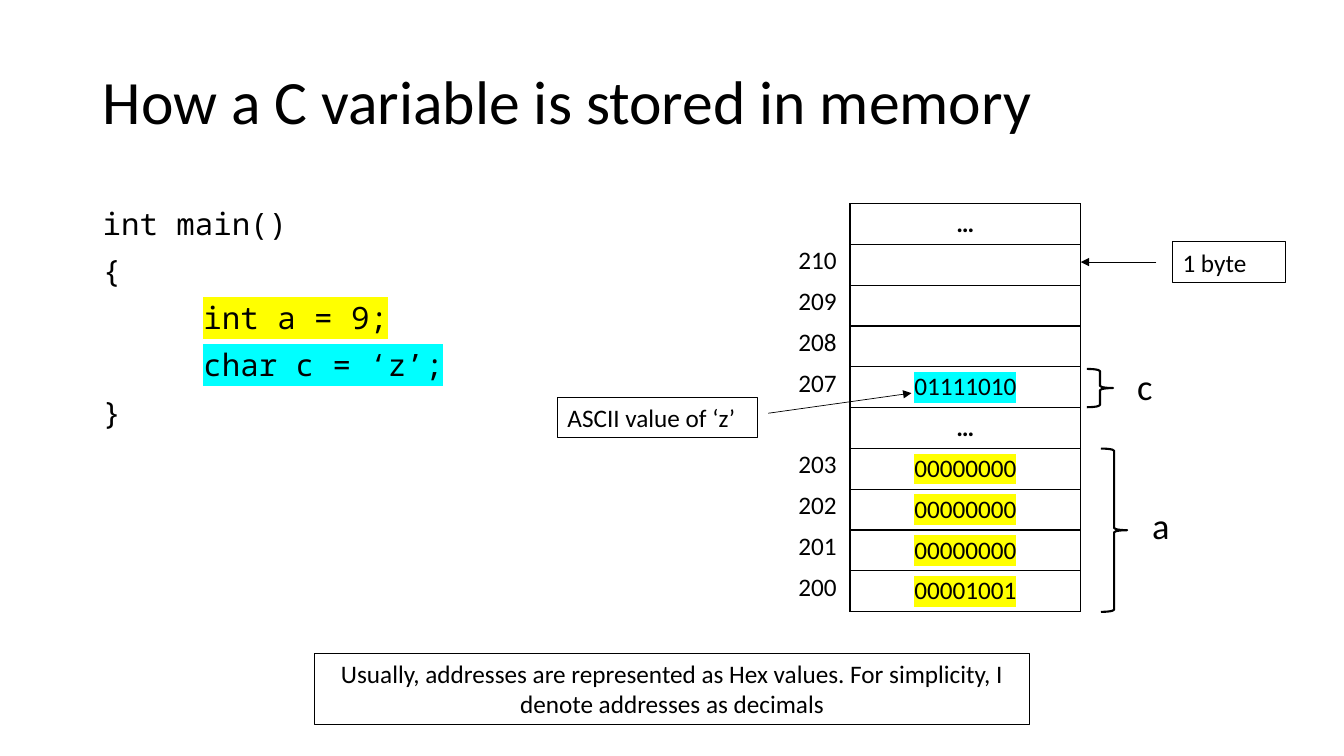
from lxml.etree import SubElement
from pptx import Presentation
from pptx.dml.color import RGBColor
from pptx.enum.shapes import MSO_CONNECTOR, MSO_SHAPE
from pptx.enum.text import MSO_ANCHOR, PP_ALIGN
from pptx.oxml.ns import qn
from pptx.util import Inches, Pt

COLORS = {"ink": "000000", "int": "FFFF00", "char": "00FFFF"}
BODY_FONT, CODE_FONT = "Calibri", "Noto Sans Mono"

TABLE_LEFT, TABLE_TOP, TABLE_WIDTH, TABLE_HEIGHT = 8.43, 2.02, 2.29, 4.05
# address, stored bits, highlight
MEMORY = [
    ("", "…", None),
    ("210", "", None),
    ("209", "", None),
    ("208", "", None),
    ("207", "01111010", "char"),
    ("", "…", None),
    ("203", "00000000", "int"),
    ("202", "00000000", "int"),
    ("201", "00000000", "int"),
    ("200", "00001001", "int"),
]
ROW_HEIGHT = TABLE_HEIGHT / len(MEMORY)

# code, indent, highlight
CODE = [
    ("int main()", 0, None),
    ("{", 0, None),
    ("int a = 9;", 1, "int"),
    ("char c = ‘z’;", 1, "char"),
    ("}", 0, None),
]


def apply(target, values):
    for name, value in values.items():
        setattr(target, name, value)


class SlideBuilder:
    """Holds the text style and the slide being filled."""

    def __init__(self, slide, font=BODY_FONT, size=18):
        self.slide, self.font, self.size = slide, font, size

    def add_words(self, paragraph, text, size=None, font=None, bold=False, mark=None, **layout):
        """Add a run; layout holds paragraph attributes, mark a highlight colour."""
        apply(paragraph, layout)
        run = paragraph.add_run()
        run.text = text
        apply(run.font, {"size": Pt(size or self.size), "name": font or self.font, "bold": bold})
        run.font.color.rgb = RGBColor.from_string(COLORS["ink"])
        if mark:
            properties = run._r.get_or_add_rPr()
            highlight = SubElement(properties, qn("a:highlight"))
            SubElement(highlight, qn("a:srgbClr"), val=COLORS[mark])
            properties.find(qn("a:solidFill")).addnext(highlight)

    def text(self, box, text, anchor=MSO_ANCHOR.TOP, **style):
        frame = self.slide.shapes.add_textbox(*map(Inches, box)).text_frame
        apply(frame, {"word_wrap": True, "vertical_anchor": anchor})
        self.add_words(frame.paragraphs[0], text, **style)

    def code(self, box, lines):
        frame = self.slide.shapes.add_textbox(*map(Inches, box)).text_frame
        frame.word_wrap = True
        for index, (text, indent, mark) in enumerate(lines):
            paragraph = frame.add_paragraph() if index else frame.paragraphs[0]
            self.add_words(paragraph, text, size=22, font=CODE_FONT, mark=mark,
                           line_spacing=0.9, space_before=Pt(10))
            paragraph._p.get_or_add_pPr().set("marL", str(Inches(indent)))

    def outline(self, preset, box, width):
        shape = self.slide.shapes.add_shape(preset, *map(Inches, box))
        shape.shadow.inherit = False
        shape.fill.background()
        shape.line.width = Pt(width)
        shape.line.color.rgb = RGBColor.from_string(COLORS["ink"])
        return shape

    def note(self, box, text, alignment=PP_ALIGN.LEFT):
        frame = self.outline(MSO_SHAPE.RECTANGLE, box, 0.75).text_frame
        apply(frame, {"word_wrap": True, "vertical_anchor": MSO_ANCHOR.TOP})
        self.add_words(frame.paragraphs[0], text, alignment=alignment)

    def brace(self, box, variable, label_left, label_top):
        self.outline(MSO_SHAPE.RIGHT_BRACE, box, 1.5)
        self.text((label_left, label_top, 0.44, 0.54), variable, size=26)

    def arrow(self, *ends):
        connector = self.slide.shapes.add_connector(MSO_CONNECTOR.STRAIGHT, *map(Inches, ends))
        connector.line.width = Pt(0.5)
        connector.line.color.rgb = RGBColor.from_string(COLORS["ink"])
        properties = connector._element.spPr
        SubElement(properties.find(qn("a:ln")), qn("a:tailEnd"), type="triangle")
        SubElement(properties, qn("a:effectLst"))

    def border(self, cell):
        properties = cell._tc.get_or_add_tcPr()
        for index, side in enumerate(("a:lnL", "a:lnR", "a:lnT", "a:lnB")):
            edge = SubElement(properties, qn(side), w=str(Pt(1)))
            fill = SubElement(edge, qn("a:solidFill"))
            SubElement(fill, qn("a:srgbClr"), val=COLORS["ink"])
            properties.insert(index, edge)

    def memory(self, rows):
        """Draw the byte cells with their addresses on the left."""
        box = map(Inches, (TABLE_LEFT, TABLE_TOP, TABLE_WIDTH, TABLE_HEIGHT))
        table = self.slide.shapes.add_table(len(rows), 1, *box).table
        apply(table, {"first_row": False, "horz_banding": False})
        for index, (address, bits, mark) in enumerate(rows):
            table.rows[index].height = Inches(ROW_HEIGHT)
            cell = table.cell(index, 0)
            cell.fill.background()
            self.border(cell)
            if bits:
                self.add_words(cell.text_frame.paragraphs[0], bits, bold=bits == "…",
                               mark=mark, alignment=PP_ALIGN.CENTER)
            if address:
                top = TABLE_TOP - 0.05 + index * ROW_HEIGHT
                self.text((TABLE_LEFT - 0.61, top, 0.61, 0.4), address)


def main():
    deck = Presentation()
    apply(deck, {"slide_width": Inches(13.33), "slide_height": Inches(7.5)})
    page = SlideBuilder(deck.slides.add_slide(deck.slide_layouts[6]))

    page.text((0.92, 0.31, 11.5, 1.45), "How a C variable is stored in memory",
              anchor=MSO_ANCHOR.MIDDLE, size=44, line_spacing=0.9)
    page.code((0.92, 2.02, 5.67, 4.76), CODE)
    page.memory(MEMORY)
    page.brace((10.92, 4.45, 0.26, 1.62), "a", 11.33, 4.94)
    page.brace((10.78, 3.66, 0.26, 0.38), "c", 11.18, 3.56)
    page.note((5.53, 3.94, 1.98, 0.4), "ASCII value of ‘z’")
    page.arrow(7.62, 4.1, 9.04, 3.9)
    page.arrow(11.47, 2.6, TABLE_LEFT + TABLE_WIDTH, 2.6)
    page.note((11.63, 2.4, 1.12, 0.4), "1 byte")
    page.note((3.12, 6.48, 7.09, 0.71),
              "Usually, addresses are represented as Hex values. "
              "For simplicity, I denote addresses as decimals", PP_ALIGN.CENTER)
    deck.save("out.pptx")


if __name__ == "__main__":
    main()
